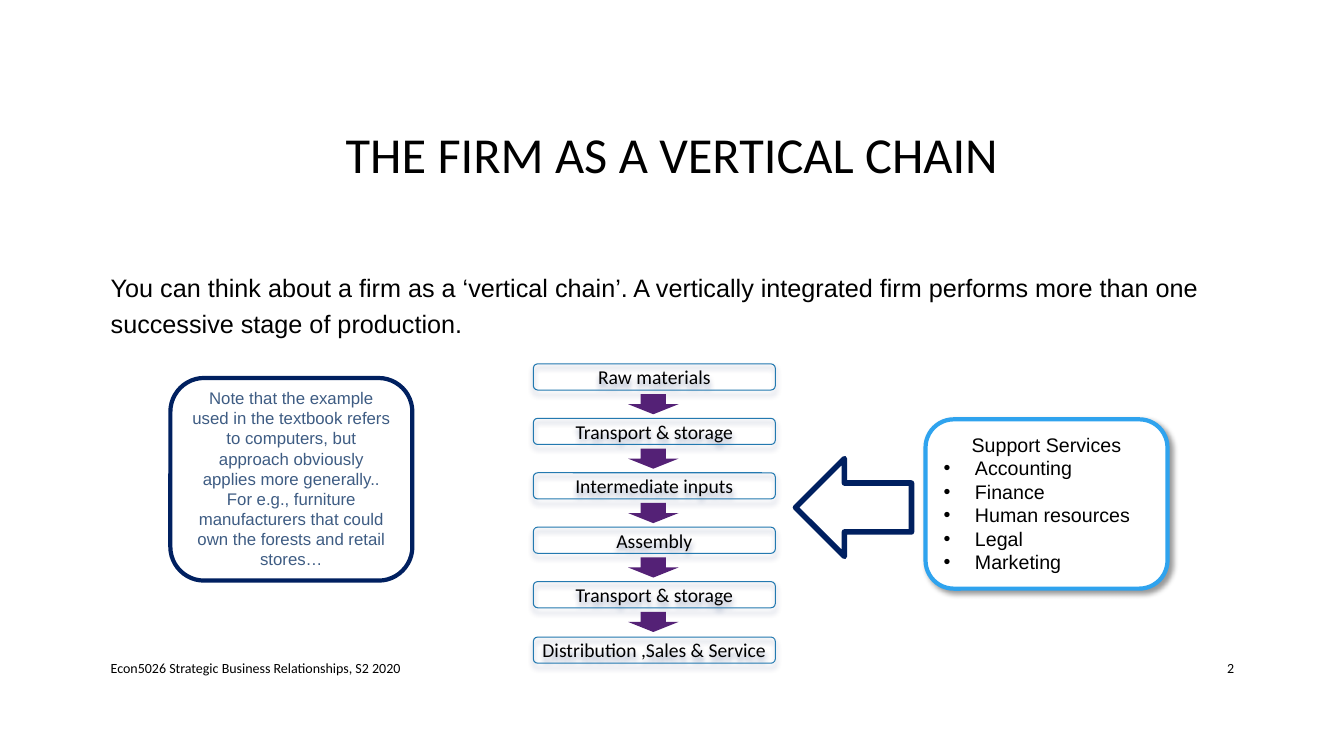
from lxml.etree import SubElement
from pptx import Presentation
from pptx.dml.color import RGBColor
from pptx.enum.shapes import MSO_SHAPE as Shape
from pptx.enum.text import MSO_ANCHOR as Anchor, MSO_AUTO_SIZE as Fit, PP_ALIGN as Align
from pptx.oxml.ns import qn
from pptx.util import Pt

PX = 9144
BLACK = RGBColor(0x00, 0x00, 0x00)
WHITE = RGBColor(0xFF, 0xFF, 0xFF)
NAVY = RGBColor(0x00, 0x20, 0x60)
BLUE = RGBColor(0x23, 0x79, 0xB0)
SKY = RGBColor(0x2F, 0xA3, 0xEE)
PURPLE = RGBColor(0x54, 0x21, 0x76)
SLATE = RGBColor(0x3E, 0x5C, 0x83)


class Deck:
    head = "Calibri"
    body = "Arial"

    def __init__(self, wide, high):
        self.prs = Presentation()
        self.prs.slide_width = wide * PX
        self.prs.slide_height = high * PX
        self.slide = self.prs.slides.add_slide(self.prs.slide_layouts[6])

    def letter(self, frame, text, size, font, color=BLACK, align=Align.LEFT,
               anchor=Anchor.TOP, inset=(10, 5), lead=1.0):
        frame.text = text
        frame.word_wrap = True
        frame.vertical_anchor = anchor
        frame.margin_left = frame.margin_right = inset[0] * PX
        frame.margin_top = frame.margin_bottom = inset[1] * PX
        for para in frame.paragraphs:
            para.alignment = align
            para.line_spacing = lead
            for run in para.runs:
                run.font.size = Pt(size)
                run.font.name = font
                run.font.color.rgb = color

    def label(self, spot, text, size, font, **style):
        box = self.slide.shapes.add_textbox(*(n * PX for n in spot))
        self.letter(box.text_frame, text, size, font, **style)

    def shape(self, kind, spot, fill=None, line=None, width=1):
        item = self.slide.shapes.add_shape(kind, *(n * PX for n in spot))
        item.shadow.inherit = False
        if fill is None:
            item.fill.background()
        else:
            item.fill.solid()
            item.fill.fore_color.rgb = fill
        if line is None:
            item.line.fill.background()
        else:
            item.line.color.rgb = line
            item.line.width = Pt(width)
        return item

    def card(self, spot, text, size, font, fill=None, line=None, width=1, **style):
        item = self.shape(Shape.ROUNDED_RECTANGLE, spot, fill, line, width)
        self.letter(item.text_frame, text, size, font, **style)
        item.text_frame.auto_size = Fit.SHAPE_TO_FIT_TEXT
        return item

    def shade(self, item, color, angle):
        glow = item._element.spPr.find(qn("a:effectLst"))
        cast = SubElement(glow, qn("a:outerShdw"), blurRad=str(Pt(4)),
                          dist=str(Pt(3)), dir=str(angle * 60000), rotWithShape="0")
        tint = SubElement(cast, qn("a:srgbClr"), val=str(color))
        SubElement(tint, qn("a:alpha"), val="40000")

    def bullet(self, para):
        props = para._p.get_or_add_pPr()
        props.set("marL", str(31 * PX))
        props.set("indent", str(-31 * PX))
        SubElement(props, qn("a:buFont"), typeface="Arial")
        SubElement(props, qn("a:buChar"), char="•")


def main():
    deck = Deck(1333, 750)
    deck.label((100, 68, 1133, 175), "THE FIRM AS A VERTICAL CHAIN", 36, deck.head,
               align=Align.CENTER, anchor=Anchor.MIDDLE, lead=0.9)
    deck.label((100, 259, 1133, 374),
               "You can think about a firm as a ‘vertical chain’. A vertically integrated "
               "firm performs more than one successive stage of production.",
               18, deck.body, lead=1.2)
    deck.label((100, 643, 730, 40), "Econ5026 Strategic Business Relationships, S2 2020",
               10, deck.head, anchor=Anchor.MIDDLE)
    deck.label((1150, 643, 84, 40), "2", 10, deck.head,
               align=Align.RIGHT, anchor=Anchor.MIDDLE)

    stages = ["Raw materials", "Transport & storage", "Intermediate inputs",
              "Assembly", "Transport & storage", "Distribution ,Sales & Service"]
    for i, stage in enumerate(stages):
        top = 361 + i * 271 // 5
        box = deck.card((529, top, 240, 26), stage, 14, deck.head, line=BLUE,
                        width=0.75, align=Align.CENTER, inset=(4, 0))
        deck.shade(box, NAVY, 90)
        if i < len(stages) - 1:
            deck.shape(Shape.DOWN_ARROW, (623, top + 30, 50, 20), fill=PURPLE)

    needs = ["Support Services", "Accounting", "Finance", "Human resources",
             "Legal", "Marketing"]
    support = deck.card((918, 416, 240, 168), "\n".join(needs), 14, deck.body,
                        fill=WHITE, line=SKY, width=3)
    deck.shade(support, BLACK, 45)
    first, *rest = support.text_frame.paragraphs
    first.alignment = Align.CENTER
    for para in rest:
        deck.bullet(para)

    deck.shape(Shape.LEFT_ARROW, (789, 455, 115, 97), line=NAVY, width=4)
    deck.card((169, 375, 240, 201),
              "Note that the example used in the textbook refers to computers, but approach "
              "obviously applies more generally.. For e.g., furniture manufacturers that "
              "could own the forests and retail stores…",
              12, deck.body, fill=WHITE, line=NAVY, width=3, color=SLATE,
              align=Align.CENTER, inset=(10, 0))
    deck.prs.save("out.pptx")


if __name__ == "__main__":
    main()
